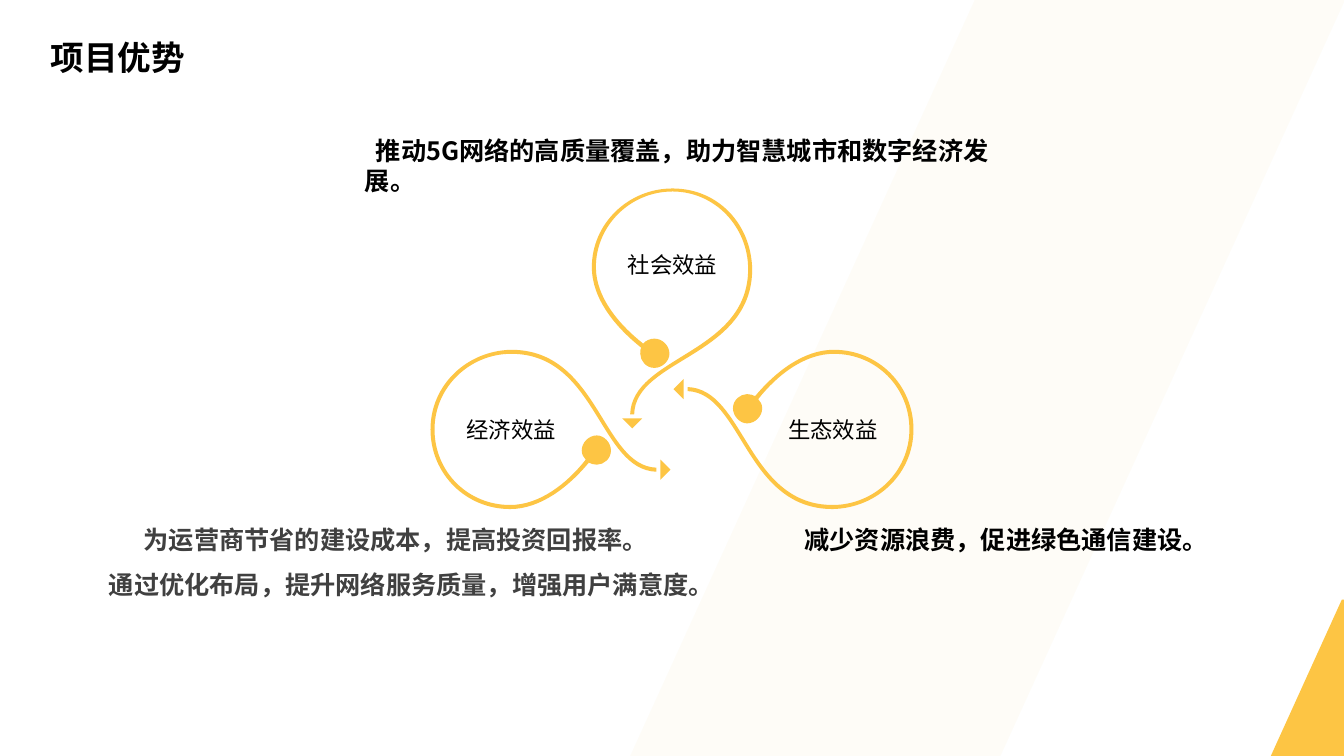
from lxml import etree
from pptx import Presentation
from pptx.dml.color import RGBColor
from pptx.enum.shapes import MSO_SHAPE
from pptx.enum.text import MSO_ANCHOR, PP_ALIGN
from pptx.oxml.ns import qn
from pptx.util import Pt

PX = 9144  # EMU per px, 100 px to the inch
SLIDE_WIDTH, SLIDE_HEIGHT = 1333, 750
LOOP_MIDDLE_Y = 426

FONT = "Noto Sans CJK SC"
AMBER = RGBColor(0xFD, 0xC5, 0x44)
BLACK = RGBColor(0, 0, 0)
GRAY = RGBColor(0x40, 0x40, 0x40)

PARALLELOGRAM = MSO_SHAPE.PARALLELOGRAM
TOP = MSO_ANCHOR.TOP
LEFT, CENTER = PP_ALIGN.LEFT, PP_ALIGN.CENTER

# Outlines: a start point, then cubic curves (two controls, end) or corners
TOP_LOOP = [
    (667, 187),
    (623, 187, 587, 222, 587, 265), (587, 297, 611, 325, 636, 345),
    (635, 346, 635, 348, 635, 351), (635, 358, 641, 365, 649, 365),
    (657, 365, 664, 358, 664, 351), (664, 343, 657, 336, 649, 336),
    (645, 336, 640, 338, 638, 341), (614, 322, 591, 295, 591, 265),
    (591, 224, 625, 190, 667, 190), (709, 190, 742, 225, 742, 267),
    (742, 351, 627, 353, 625, 411), (629, 411, 629, 411, 629, 411),
    (630, 356, 746, 354, 746, 267), (745, 222, 712, 187, 667, 187),
]
TOP_ARROW = [(627, 425), (637, 415), (617, 415), (627, 425)]

LEFT_LOOP = [
    (507, 347),
    (463, 348, 427, 382, 427, 426), (427, 470, 462, 505, 506, 505),
    (536, 505, 564, 483, 584, 459), (586, 460, 589, 461, 592, 461),
    (599, 461, 606, 455, 606, 447), (606, 439, 599, 432, 592, 432),
    (584, 432, 577, 439, 577, 447), (577, 451, 579, 454, 581, 456),
    (562, 480, 535, 501, 506, 501), (464, 501, 431, 468, 431, 426),
    (431, 384, 466, 351, 507, 351), (592, 351, 594, 466, 651, 468),
    (651, 464, 651, 464, 651, 464), (597, 462, 594, 347, 507, 347),
]
LEFT_ARROW = [(655, 456), (655, 476), (665, 466), (655, 456)]

LABELS = [("经济效益", 436, 408), ("生态效益", 755, 408), ("社会效益", 596, 244)]


def fill_amber(shape):
    shape.shadow.inherit = False
    shape.fill.solid()
    shape.fill.fore_color.rgb = AMBER
    shape.line.fill.background()


def add_slanted_band(slide, left, top, width, height, opacity=100):
    band = slide.shapes.add_shape(
        PARALLELOGRAM, left * PX, top * PX, width * PX, height * PX)
    band.adjustments[0] = 0.482
    fill_amber(band)
    if opacity < 100:
        color = band.fill._xPr.find(".//" + qn("a:srgbClr"))
        etree.SubElement(color, qn("a:alpha"), val=str(opacity * 1000))


def half_turn(outline):
    """Turn an outline by 180 degrees about the middle of the side loops."""
    sums = (SLIDE_WIDTH, 2 * LOOP_MIDDLE_Y)
    return [tuple(sums[index % 2] - value for index, value in enumerate(segment))
            for segment in outline]


def add_outline(shapes, outline):
    anchors = [segment[-2:] for segment in outline]
    builder = shapes.build_freeform(*anchors[0], scale=PX)
    builder.add_line_segments(anchors[1:], close=True)
    shape = builder.convert_to_shape()
    fill_amber(shape)
    left = min(x for x, y in anchors)
    top = min(y for x, y in anchors)
    # Bend the straight segments that have control points
    lines = list(shape._element.iter(qn("a:lnTo")))
    for line, segment in zip(lines, outline[1:]):
        if len(segment) == 6:
            line.tag = qn("a:cubicBezTo")
            for index, start in enumerate((0, 2)):
                x, y = segment[start:start + 2]
                control = etree.Element(qn("a:pt"), x=str(x - left), y=str(y - top))
                line.insert(index, control)


def set_text(shape, lines, size, color=BLACK, bold=False, alignment=LEFT,
             line_spacing=1.0, indents=()):
    frame = shape.text_frame
    frame.word_wrap = True
    frame.vertical_anchor = TOP
    frame.text = "\n".join(lines)
    for paragraph in frame.paragraphs:
        paragraph.alignment = alignment
        paragraph.line_spacing = line_spacing
        paragraph.space_before = Pt(0)
        for run in paragraph.runs:
            run.font.name = FONT
            run.font.size = Pt(size)
            run.font.bold = bold
            run.font.color.rgb = color
            east_asian = etree.Element(qn("a:ea"), typeface=FONT)
            run.font._element.find(qn("a:latin")).addnext(east_asian)
    for paragraph, (kind, length) in zip(frame.paragraphs, indents):
        paragraph._p.get_or_add_pPr().set(kind, str(length * PX))


def add_text(slide, lines, left, top, width, height, size, **style):
    box = slide.shapes.add_textbox(left * PX, top * PX, width * PX, height * PX)
    set_text(box, lines, size, **style)


def set_title(slide, text, left, top, width, height):
    title = slide.shapes.title
    title.left, title.top = left * PX, top * PX
    title.width, title.height = width * PX, height * PX
    set_text(title, [text], 24, bold=True)


def main():
    presentation = Presentation()
    presentation.slide_width = SLIDE_WIDTH * PX
    presentation.slide_height = SLIDE_HEIGHT * PX
    slide = presentation.slides.add_slide(presentation.slide_layouts[5])

    # Backdrop and title
    add_slanted_band(slide, 625, 0, 709, 750, opacity=4)
    set_title(slide, "项目优势", 40, 32, 250, 71)
    add_slanted_band(slide, 1260, 595, 147, 156)

    # Three loops; the right one is the left one after a half turn
    loops = slide.shapes.add_group_shape()
    for outline in (TOP_LOOP, TOP_ARROW, LEFT_LOOP, LEFT_ARROW,
                    half_turn(LEFT_LOOP), half_turn(LEFT_ARROW)):
        add_outline(loops.shapes, outline)

    # Loop labels
    for text, left, top in LABELS:
        add_text(slide, [text], left, top, 142, 37, 16, alignment=CENTER)

    # Benefit statements
    add_text(slide, ["为运营商节省的建设成本，提高投资回报率。",
                     "通过优化布局，提升网络服务质量，增强用户满意度。"],
             81, 500, 636, 108, 18, color=GRAY, bold=True, alignment=CENTER,
             line_spacing=1.5, indents=[("marR", 13), ("marL", 6)])
    add_text(slide, ["减少资源浪费，促进绿色通信建设。"],
             788, 515, 420, 56, 18, bold=True)
    add_text(slide, ["推动5G网络的高质量覆盖，助力智慧城市和数字经济发展。"],
             352, 129, 663, 71, 18, bold=True, indents=[("indent", 11)])

    presentation.save("out.pptx")


if __name__ == "__main__":
    main()
